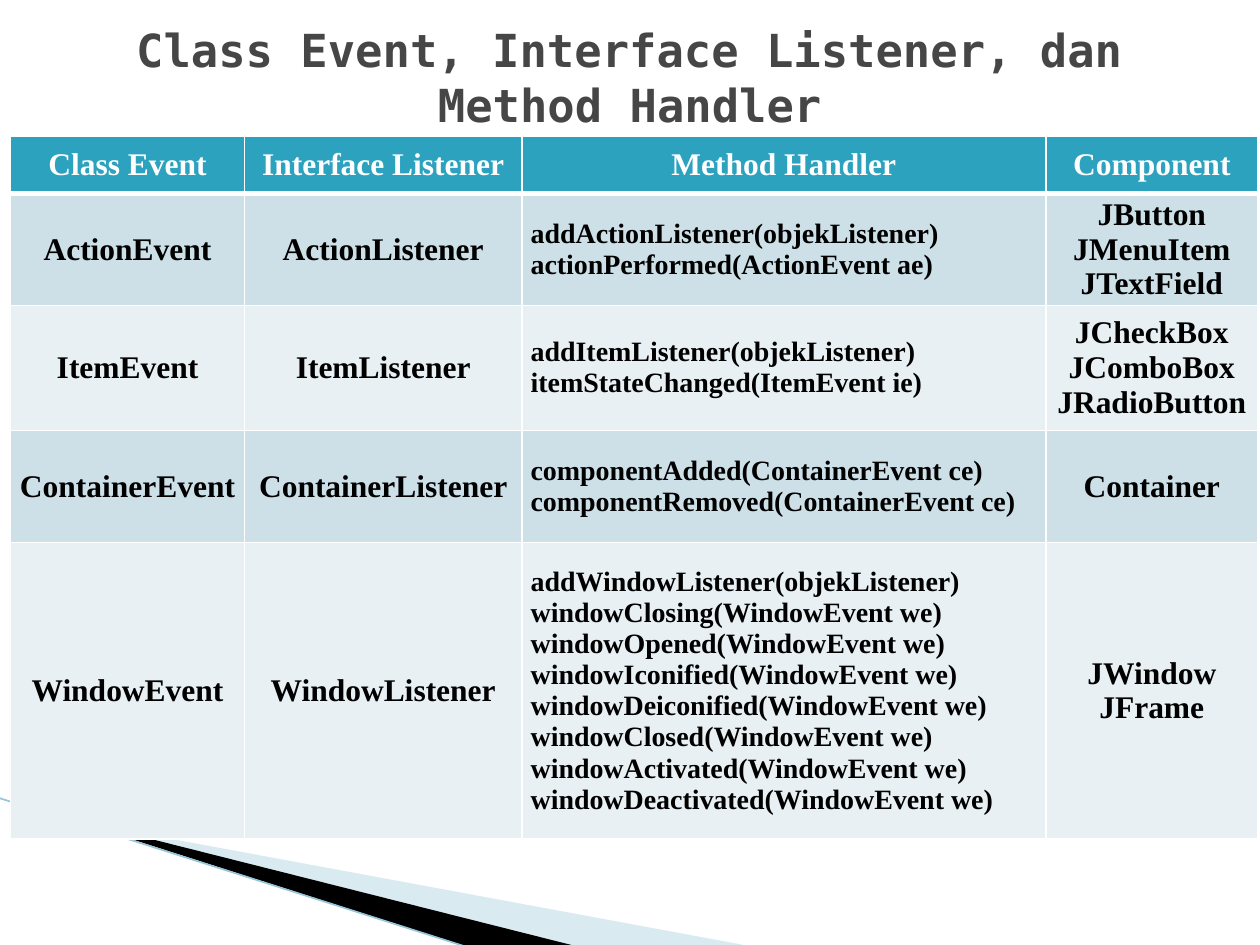
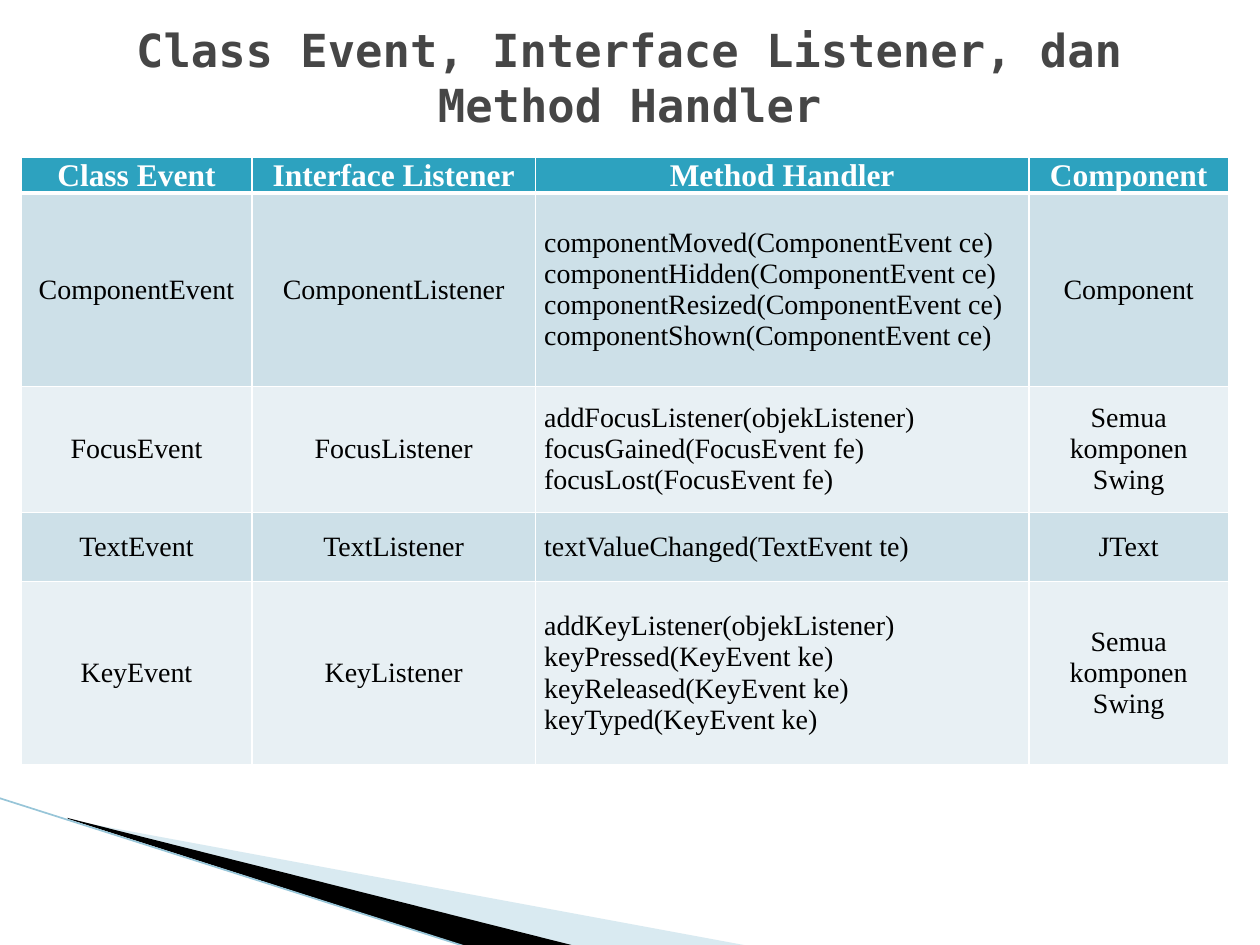
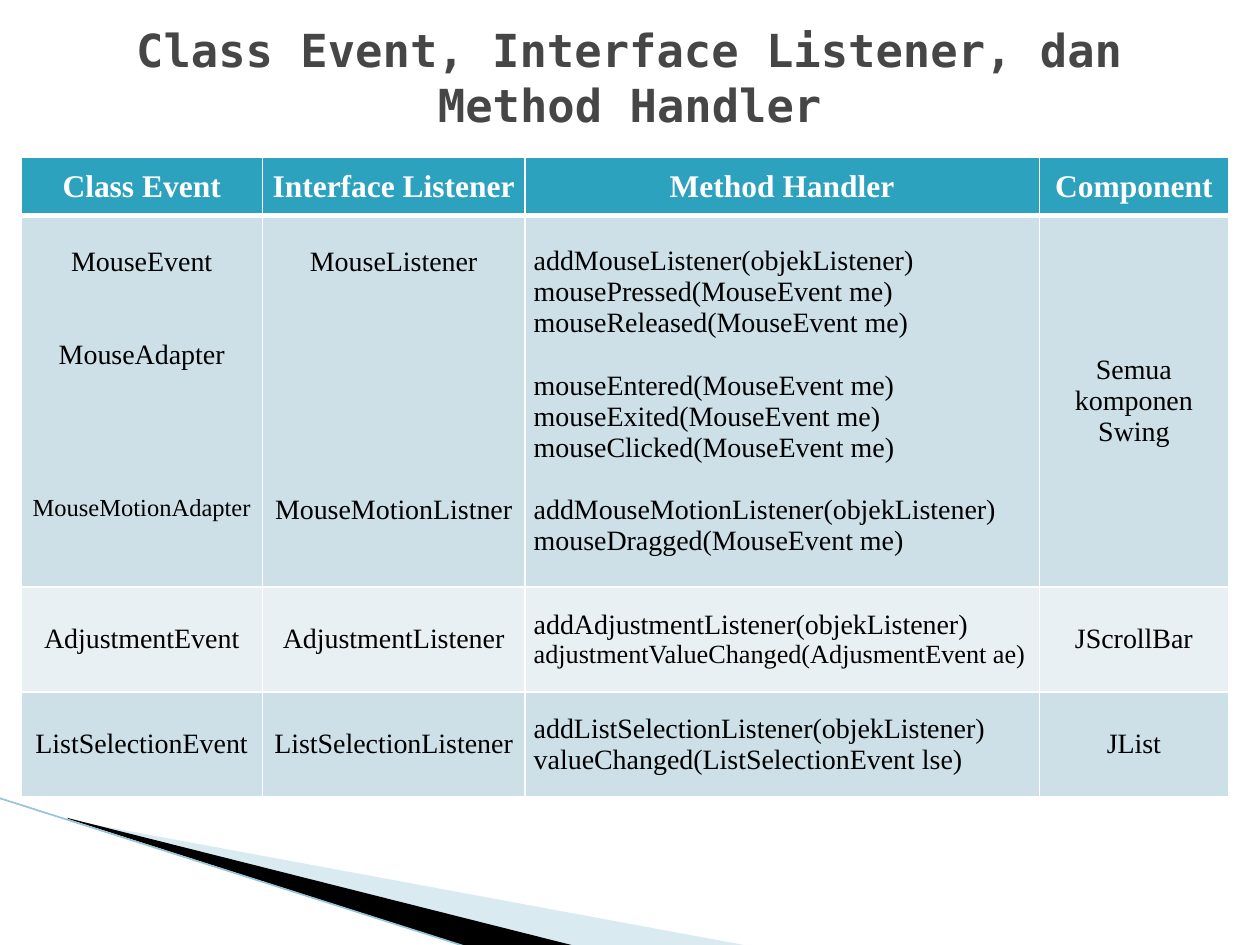
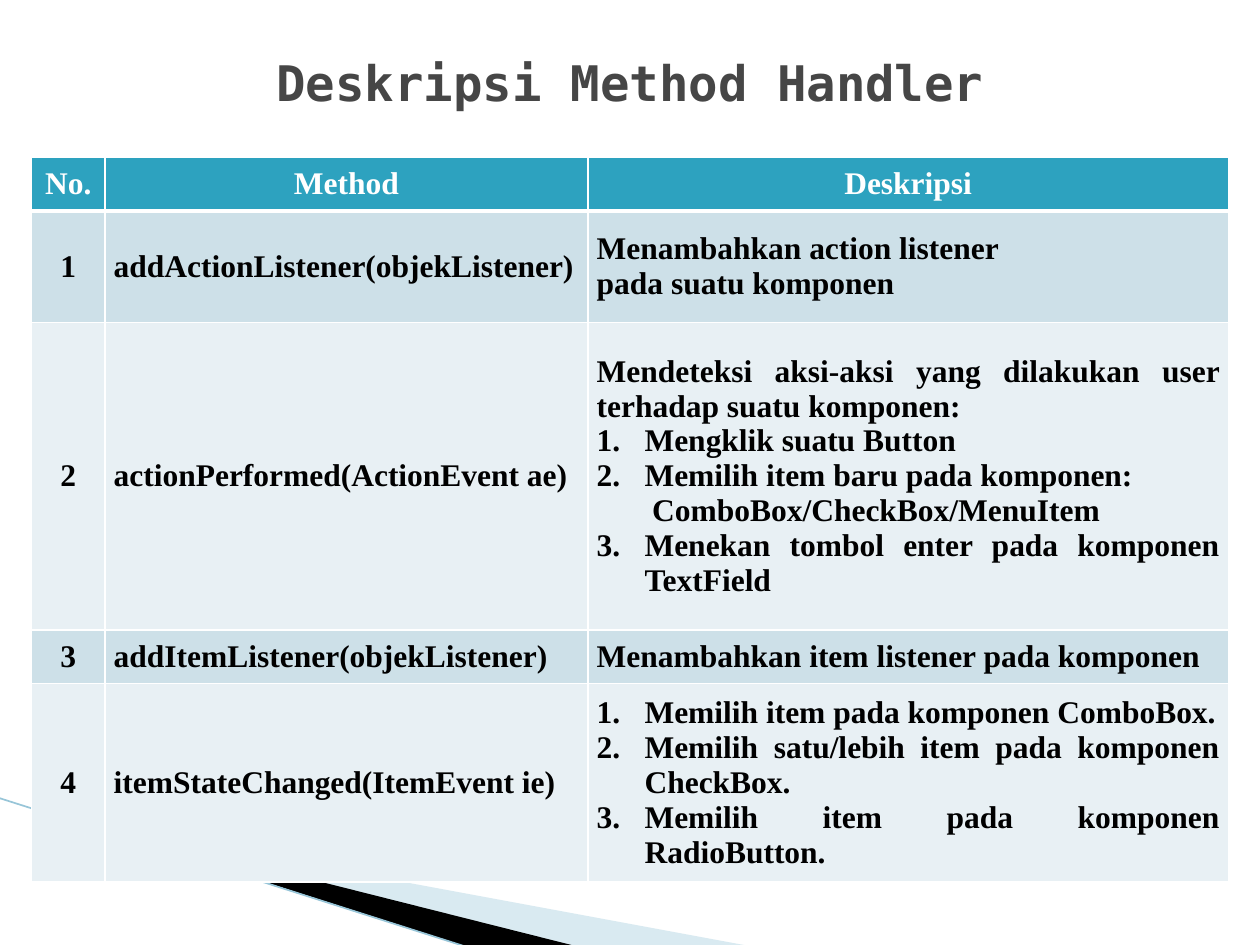
import dataclasses

import lxml.etree
import pptx
import pptx.dml.color
import pptx.enum.text
import pptx.oxml.ns
import pptx.util

ALIGN = {
    "c": pptx.enum.text.PP_ALIGN.CENTER,
    "l": pptx.enum.text.PP_ALIGN.LEFT,
    "j": pptx.enum.text.PP_ALIGN.JUSTIFY,
}
MIDDLE = pptx.enum.text.MSO_ANCHOR.MIDDLE
TOP = pptx.enum.text.MSO_ANCHOR.TOP


@dataclasses.dataclass(frozen=True)
class Theme:
    head: str = "2DA2BF"
    bands: tuple = ("CDE0E8", "E8F0F4")
    white: str = "FFFFFF"
    ink: str = "000000"
    title: str = "464646"
    wedge: str = "A0CBDC"
    edge: str = "97C5D8"
    title_font: str = "DejaVu Sans Mono"
    body_font: str = "Times New Roman"
    head_size: int = 18
    thin: float = 1
    thick: float = 3
    blank: float = 17.7
    inset: float = 0.07
    hang: float = 0.38


@dataclasses.dataclass(frozen=True)
class Line:
    text: str
    gap: int = 0
    size: int = 0
    num: int = 0
    indent: float = 0
    align: str = ""


def tint(code):
    return pptx.dml.color.RGBColor.from_string(code)


def node(parent, tag, **attrs):
    return lxml.etree.SubElement(
        parent, pptx.oxml.ns.qn(tag), {key: str(val) for key, val in attrs.items()})


class Deck:
    COLS = 120
    ROWS = 90

    def __init__(self, theme):
        self.theme = theme
        self.show = pptx.Presentation()
        self.show.slide_width = pptx.util.Inches(10)
        self.show.slide_height = pptx.util.Inches(7.5)
        self.layout = self.show.slide_layouts[5]
        self.slide = None

    def across(self, cols):
        return round(self.show.slide_width * cols / self.COLS)

    def down(self, rows):
        return round(self.show.slide_height * rows / self.ROWS)

    def place(self, left, top, width, height):
        return self.across(left), self.down(top), self.across(width), self.down(height)

    def style(self, para, font, size, color, bold):
        for run in para.runs:
            run.font.name = font
            run.font.size = pptx.util.Pt(size)
            run.font.bold = bold
            run.font.color.rgb = tint(color)

    def open(self, text, size, area):
        first = self.slide is None
        self.slide = self.show.slides.add_slide(self.layout)
        if first:
            self.adorn()
        title = self.slide.shapes.title
        title.left, title.top, title.width, title.height = self.place(*area)
        frame = title.text_frame
        frame.text = text
        frame.word_wrap = True
        frame.auto_size = pptx.enum.text.MSO_AUTO_SIZE.NONE
        frame.vertical_anchor = MIDDLE
        frame.paragraphs[0].alignment = ALIGN["c"]
        self.style(frame.paragraphs[0], self.theme.title_font, size, self.theme.title, True)

    def adorn(self):
        parts = (
            self.wedge([(6.6, 78.1), (71.4, 90.1), (54.7, 90.1), (6.6, 78)],
                       self.theme.wedge, 40),
            self.wedge([(6.4, 77.9), (54.8, 90.1), (44.6, 90.2), (6.5, 78)],
                       self.theme.ink),
            self.edge((-0.1, 76), (44.5, 90.2)),
        )
        tree = self.layout.shapes._spTree
        for index, part in enumerate(parts, 2):
            tree.insert(index, part._element)

    def wedge(self, points, color, alpha=100):
        spots = [(self.across(x), self.down(y)) for x, y in points]
        pen = self.slide.shapes.build_freeform(*spots[0])
        pen.add_line_segments(spots[1:], close=True)
        shape = pen.convert_to_shape()
        shape.shadow.inherit = False
        shape.line.fill.background()
        shape.fill.solid()
        shape.fill.fore_color.rgb = tint(color)
        if alpha < 100:
            fill = shape._element.spPr.find(pptx.oxml.ns.qn("a:solidFill"))
            node(fill[0], "a:alpha", val=alpha * 1000)
        return shape

    def edge(self, start, end):
        line = self.slide.shapes.add_connector(
            pptx.enum.shapes.MSO_CONNECTOR.STRAIGHT,
            self.across(start[0]), self.down(start[1]),
            self.across(end[0]), self.down(end[1]))
        line.line.color.rgb = tint(self.theme.edge)
        line.line.width = pptx.util.Pt(0.95)
        node(line._element.spPr, "a:effectLst")
        return line

    def border(self, cell, top, bottom):
        props = cell._tc.get_or_add_tcPr()
        widths = {"L": self.theme.thin, "R": self.theme.thin, "T": top, "B": bottom}
        for index, (side, width) in enumerate(widths.items()):
            line = node(props, "a:ln" + side, w=pptx.util.Pt(width))
            node(node(line, "a:solidFill"), "a:srgbClr", val=self.theme.white)
            props.insert(index, line)

    def number(self, para, line):
        props = para._p.get_or_add_pPr()
        hang = pptx.util.Inches(self.theme.hang)
        props.set("marL", str(hang))
        props.set("indent", str(-hang))
        node(props, "a:buFont", typeface="+mj-lt")
        node(props, "a:buAutoNum", type="arabicPeriod", startAt=line.num)

    def cell(self, cell, content, fill, color, size, bold, align):
        if isinstance(content, str):
            content = [Line(text) for text in content.split("\n")]
        lines = [Line(item) if isinstance(item, str) else item for item in content]
        lead = lines[0].gap
        cell.fill.solid()
        cell.fill.fore_color.rgb = tint(fill)
        cell.margin_left = cell.margin_right = pptx.util.Inches(self.theme.inset)
        cell.margin_top = pptx.util.Pt(lead * self.theme.blank)
        cell.margin_bottom = 0
        cell.vertical_anchor = TOP if lead else MIDDLE
        cell.text_frame.text = "\n".join(line.text for line in lines)
        for index, (para, line) in enumerate(zip(cell.text_frame.paragraphs, lines)):
            para.alignment = ALIGN[line.align or align]
            if index and line.gap:
                para.space_before = pptx.util.Pt(line.gap * self.theme.blank)
            if line.indent:
                para._p.get_or_add_pPr().set("marL", str(pptx.util.Inches(line.indent)))
            if line.num:
                self.number(para, line)
            self.style(para, self.theme.body_font, line.size or size, color, bold)

    def table(self, left, top, widths, heights, rows, aligns, sizes, bold):
        theme = self.theme
        area = self.place(left, top, sum(widths), sum(heights))
        grid = self.slide.shapes.add_table(len(rows), len(widths), *area).table
        for col, width in zip(grid.columns, widths):
            col.width = self.across(width)
        for row, height in zip(grid.rows, heights):
            row.height = self.down(height)
        for r, row in enumerate(rows):
            for c, content in enumerate(row):
                cell = grid.cell(r, c)
                if r == 0:
                    self.cell(cell, content, theme.head, theme.white,
                              theme.head_size, True, "c")
                else:
                    self.cell(cell, content, theme.bands[(r - 1) % 2], theme.ink,
                              sizes[c], bold, aligns[c])
                self.border(cell, theme.thick if r == 1 else theme.thin,
                            theme.thick if r == 0 else theme.thin)


EVENT_TITLE = "Class Event, Interface Listener, dan Method Handler"
EVENT_AREA = (3, 3.6, 114, 7.4)
EVENT_HEAD = ("Class Event", "Interface Listener", "Method Handler", "Component")
SWING = "Semua komponen Swing"

ACTIONS = (
    EVENT_HEAD,
    ("ActionEvent", "ActionListener",
     "addActionListener(objekListener)\nactionPerformed(ActionEvent ae)",
     "JButton\nJMenuItem\nJTextField"),
    ("ItemEvent", "ItemListener",
     "addItemListener(objekListener)\nitemStateChanged(ItemEvent ie)",
     "JCheckBox\nJComboBox\nJRadioButton"),
    ("ContainerEvent", "ContainerListener",
     "componentAdded(ContainerEvent ce)\ncomponentRemoved(ContainerEvent ce)",
     "Container"),
    ("WindowEvent", "WindowListener",
     ["addWindowListener(objekListener)"]
     + [f"window{verb}(WindowEvent we)" for verb in (
         "Closing", "Opened", "Iconified", "Deiconified",
         "Closed", "Activated", "Deactivated")],
     "JWindow\nJFrame"),
)

INPUTS = (
    EVENT_HEAD,
    ("ComponentEvent", "ComponentListener",
     [f"component{verb}(ComponentEvent ce)"
      for verb in ("Moved", "Hidden", "Resized", "Shown")],
     "Component"),
    ("FocusEvent", "FocusListener",
     "addFocusListener(objekListener)\nfocusGained(FocusEvent fe)\nfocusLost(FocusEvent fe)",
     SWING),
    ("TextEvent", "TextListener", "textValueChanged(TextEvent te)", "JText"),
    ("KeyEvent", "KeyListener",
     ["addKeyListener(objekListener)"]
     + [f"key{verb}(KeyEvent ke)" for verb in ("Pressed", "Released", "Typed")],
     "Semua komponen\nSwing"),
)

MOUSE = (
    EVENT_HEAD,
    ([Line("MouseEvent", gap=1), Line("MouseAdapter", gap=2),
      Line("MouseMotionAdapter", gap=4, size=14)],
     [Line("MouseListener", gap=1), Line("MouseMotionListner", gap=7)],
     ["addMouseListener(objekListener)",
      "mousePressed(MouseEvent me)",
      "mouseReleased(MouseEvent me)",
      Line("mouseEntered(MouseEvent me)", gap=1),
      "mouseExited(MouseEvent me)",
      "mouseClicked(MouseEvent me)",
      Line("addMouseMotionListener(objekListener)", gap=1),
      "mouseDragged(MouseEvent me)"],
     SWING),
    ("AdjustmentEvent", "AdjustmentListener",
     ["addAdjustmentListener(objekListener)",
      Line("adjustmentValueChanged(AdjusmentEvent ae)", size=15)],
     "JScrollBar"),
    ("ListSelectionEvent", "ListSelectionListener",
     "addListSelectionListener(objekListener)\nvalueChanged(ListSelectionEvent lse)",
     "JList"),
)

METHODS = (
    ("No.", "Method", "Deskripsi"),
    ("1", "addActionListener(objekListener)",
     [Line("Menambahkan action listener", align="l"),
      Line("pada suatu komponen", align="l")]),
    ("2", "actionPerformed(ActionEvent ae)",
     ["Mendeteksi aksi-aksi yang dilakukan user terhadap suatu komponen:",
      Line("Mengklik suatu Button", num=1),
      Line("Memilih item baru pada komponen:", num=2),
      Line("ComboBox/CheckBox/MenuItem", indent=0.44),
      Line("Menekan tombol enter pada komponen TextField", num=3)]),
    ("3", "addItemListener(objekListener)", "Menambahkan item listener pada komponen"),
    ("4", "itemStateChanged(ItemEvent ie)",
     [Line("Memilih item pada komponen ComboBox.", num=1),
      Line("Memilih satu/lebih item pada komponen CheckBox.", num=2),
      Line("Memilih item pada komponen RadioButton.", num=3)]),
)


def main():
    deck = Deck(Theme())

    deck.open(EVENT_TITLE, 26, EVENT_AREA)
    deck.table(1, 13, (22.3, 26.4, 49.9, 20.2), (5.4, 10.7, 11.9, 10.7, 28.2),
               ACTIONS, "cclc", (18, 18, 16, 18), True)

    deck.open(EVENT_TITLE, 26, EVENT_AREA)
    deck.table(2, 15, (22, 27, 47, 19), (3.4, 18.4, 12, 6.6, 17.4),
               INPUTS, "cclc", (16,) * 4, False)

    deck.open(EVENT_TITLE, 26, EVENT_AREA)
    deck.table(2, 15, (23, 25, 49, 18), (5.5, 35.4, 10, 10),
               MOUSE, "cclc", (16,) * 4, False)

    deck.open("Deskripsi Method Handler", 28, (6, 3.6, 108, 8.4))
    deck.table(3, 15, (7, 46, 61), (5.1, 10.6, 29.3, 5.1, 18.9),
               METHODS, "clj", (18,) * 3, True)

    deck.show.save("out.pptx")


if __name__ == "__main__":
    main()
